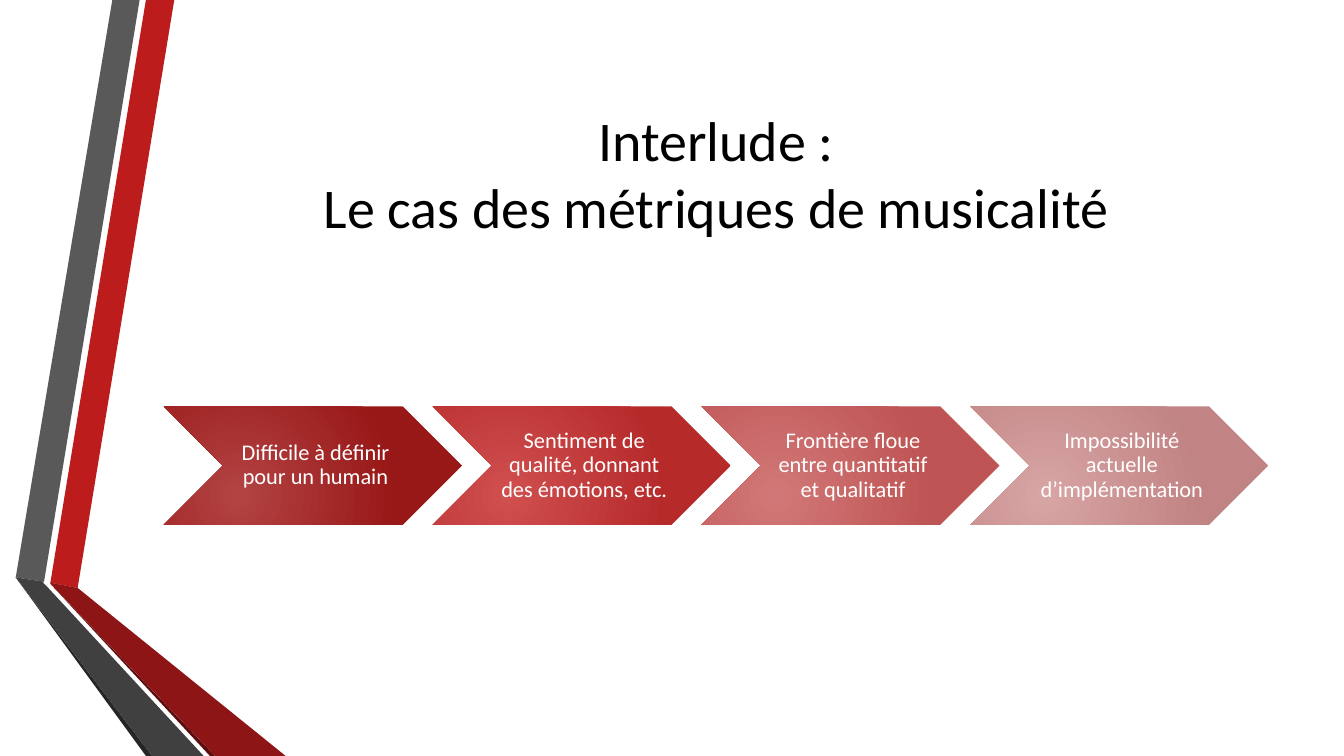
from lxml import etree
from pptx import Presentation
from pptx import util as u
from pptx.dml.color import RGBColor
from pptx.enum import shapes, text
from pptx.oxml import ns

PX = 9525
FONT = "Calibri"
COLOURS = {
    "title": "000000",
    "label": "FFFFFF",
    "red": "BC1C1C",
    "red_fold": "8D1515",
    "red_edge": "5E0E0E",
    "grey": "595959",
    "grey_fold": "404040",
    "grey_edge": "262626",
}
RIBBONS = [
    ("red", [(33, 555), (59, 560), (151, 0), (124, 0)]),
    ("grey", [(118, 0), (92, 0), (0, 550), (27, 554)]),
    ("grey_edge", [(0, 550), (124, 720), (130, 720)]),
    ("red_edge", [(33, 556), (185, 720), (190, 720)]),
    ("red_fold", [(33, 555), (33, 556), (190, 720), (257, 720), (59, 560)]),
    ("grey_fold", [(179, 720), (31, 560), (26, 555), (27, 554), (0, 550), (130, 720)]),
]
STEPS = [
    ("Difficile à définir pour un humain", "B34343", "981717"),
    ("Sentiment de qualité, donnant des émotions, etc.", "D04F4F", "B62A2A"),
    ("Frontière floue entre quantitatif et qualitatif", "D27777", "BE5454"),
    ("Impossibilité actuelle d’implémentation", "D7A4A4", "C18383"),
]


def rgb(value):
    """Return the colour for a hex string."""
    return RGBColor.from_string(value)


def style_paragraph(paragraph, size, colour):
    """Centre a paragraph and set its font."""
    paragraph.alignment = text.PP_ALIGN.CENTER
    paragraph.font.name = FONT
    paragraph.font.size = u.Pt(size)
    paragraph.font.color.rgb = rgb(COLOURS[colour])


def fill_radial(shape, inner, outer):
    """Fill a shape with a circular gradient centred on its lower part."""
    shape.fill.gradient()
    for stop, colour in zip(shape.fill.gradient_stops, (inner, outer)):
        stop.color.rgb = rgb(colour)
    linear = shape._element.spPr.find(".//" + ns.qn("a:lin"))
    circle = etree.Element(ns.qn("a:path"), {"path": "circle"})
    etree.SubElement(circle, ns.qn("a:fillToRect"),
                     {"l": "50000", "t": "100000", "r": "100000", "b": "50000"})
    linear.getparent().replace(linear, circle)


def add_ribbons(slide, left, top):
    """Draw the two folded ribbons from the given corner."""
    for colour, points in RIBBONS:
        builder = slide.shapes.build_freeform(*points[0], scale=PX)
        builder.add_line_segments(points[1:], close=True)
        shape = builder.convert_to_shape(left * PX, top * PX)
        shape.shadow.inherit = False
        shape.fill.solid()
        shape.fill.fore_color.rgb = rgb(COLOURS[colour])
        shape.line.fill.background()


def add_title(slide, left, top, width, height):
    """Place the two-line title in its box."""
    title = slide.shapes.title
    title.left, title.top = left * PX, top * PX
    title.width, title.height = width * PX, height * PX
    frame = title.text_frame
    frame.auto_size = text.MSO_AUTO_SIZE.NONE
    frame.vertical_anchor = text.MSO_ANCHOR.MIDDLE
    paragraph = frame.paragraphs[0]
    paragraph.add_run().text = "Interlude :"
    paragraph.add_line_break()
    paragraph.add_run().text = "Le cas des métriques de musicalité"
    style_paragraph(paragraph, 40, "title")


def add_process(slide, left, top, width, height):
    """Spread the chevron steps evenly over the box."""
    step_width = 284
    pitch = (width - step_width) // (len(STEPS) - 1)
    for index, (label, inner, outer) in enumerate(STEPS):
        chevron = slide.shapes.add_shape(
            shapes.MSO_SHAPE.CHEVRON, (left + index * pitch) * PX, top * PX,
            step_width * PX, height * PX)
        chevron.shadow.inherit = False
        fill_radial(chevron, inner, outer)
        chevron.line.fill.background()
        frame = chevron.text_frame
        frame.word_wrap = True
        frame.vertical_anchor = text.MSO_ANCHOR.MIDDLE
        frame.margin_left = 7 * PX
        frame.margin_top = frame.margin_right = frame.margin_bottom = 2 * PX
        frame.text = label
        paragraph = frame.paragraphs[0]
        paragraph.line_spacing = 0.9
        style_paragraph(paragraph, 16, "label")


def main():
    """Build and save the slide."""
    presentation = Presentation()
    presentation.slide_width = 1280 * PX
    presentation.slide_height = 720 * PX
    slide = presentation.slides.add_slide(presentation.slide_layouts[5])
    add_ribbons(slide, 15, 0)
    add_title(slide, 156, 72, 1052, 184)
    add_process(slide, 156, 387, 1052, 113)
    presentation.save("out.pptx")


if __name__ == "__main__":
    main()
